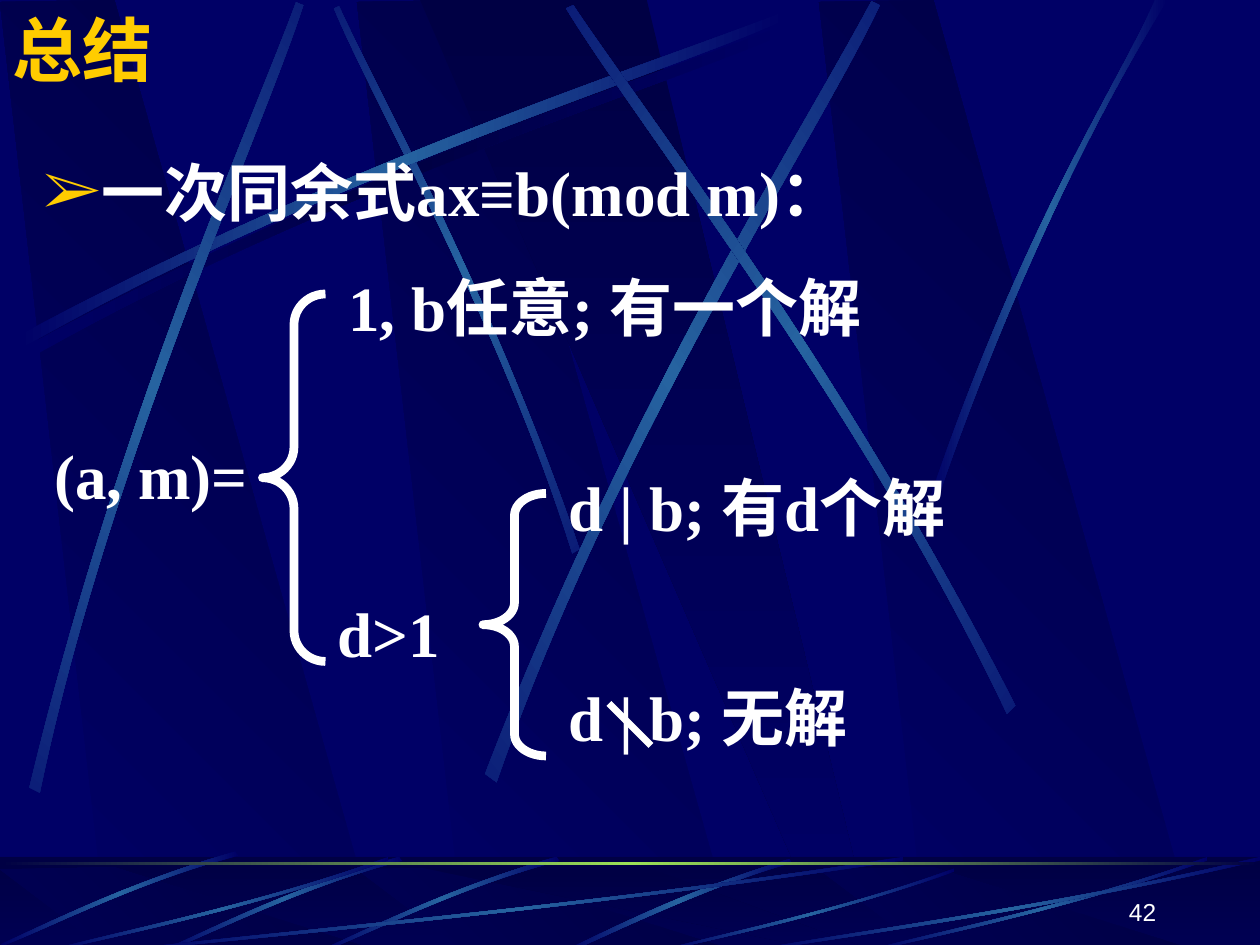
from dataclasses import dataclass
from math import cos, radians, sin

from lxml.etree import SubElement
from pptx import Presentation
from pptx.dml.color import RGBColor
from pptx.enum.shapes import MSO_CONNECTOR, MSO_SHAPE
from pptx.enum.text import MSO_ANCHOR, PP_ALIGN
from pptx.oxml.ns import qn
from pptx.util import Inches, Pt

COLUMNS, ROWS = 120, 90
UNIT = Inches(10) / COLUMNS


@dataclass(frozen=True)
class Theme:
    navy: str = "000066"
    midnight: str = "000044"
    steel: str = "2663A0"
    lime: str = "9CE157"
    gold: str = "FFCC00"
    white: str = "FFFFFF"
    brace_width: int = 5
    slash_width: int = 4


THEME = Theme()
TITLE = {"name": "Montserrat", "size": Pt(40), "bold": True}
FORMULA = {"name": "Times New Roman", "size": Pt(36), "bold": True}
NUMBER = {"name": "Arial", "size": Pt(14), "bold": False}

GLOW = (THEME.navy, THEME.steel, THEME.navy)
SHADE = (THEME.navy, THEME.midnight, THEME.navy)
FADE_OUT = (THEME.navy, THEME.midnight)
FADE_IN = (THEME.midnight, THEME.navy)
HORIZON = (THEME.midnight, THEME.lime, THEME.midnight)

# Each ray: one curved edge of four points, then the edge that leads back.
WIDE_RAY = [(1.7, 32), (33.4, 15), (62.2, 6.1), (74.4, 1.2),
            (74.8, 1.9), (62.6, 7.3), (29.8, 17.2), (2, 33.2)]
STEEP_RAYS = [
    (45, [(55.2, 52.3), (46.9, 28.1), (36.2, 9.2), (32.3, 0.6),
          (31.8, 0.8), (35.4, 9.5), (47.8, 31), (54.5, 52.7)]),
    (311.7, [(2.8, 75), (11.2, 40.1), (23.6, 12.6), (28.2, 0.2),
             (28.9, 0.5), (24.8, 13.1), (10.3, 44.2), (3.8, 75.5)]),
    (321.6, [(46.2, 73.7), (59.8, 38.4), (76.6, 12.2), (83, 0.1),
             (83.8, 0.5), (77.9, 13), (58.3, 42.6), (47.3, 74.5)]),
    (34.7, [(96.7, 67.2), (80.4, 35.2), (61.9, 11.4), (54.6, 0.5),
            (53.9, 0.8), (60.8, 12.1), (82.2, 39), (95.9, 68)]),
    (0, [(88.6, 47.3), (97.7, 20.8), (106.6, 7.9), (110, 0),
         (111.2, 0), (100.3, 17.4), (92.3, 38.6), (89.3, 47.6)]),
]
FOOT_RAY = [(75.2, 81.8), (64.4, 85.1), (57.2, 89), (53.8, 90.5),
            (54.4, 90.6), (58.8, 88.6), (68.5, 84), (75.4, 82.2)]
TURNED_FOOT_RAY = [(53, 81.6), (42.6, 84.6), (34.4, 88.8), (30.7, 90.4),
                   (30.8, 90.6), (34.6, 89.2), (43.8, 84.4), (53.3, 82)]
# Shares of the ray's own frame.
FLAT_RAY = [(1, 0.04), (0.57, 0.57), (0.17, 0.85), (0, 1),
            (0, 0.98), (0.17, 0.81), (0.62, 0.5), (1, 0)]


def grid(*lengths):
    return [round(length * UNIT) for length in lengths]


def color(value):
    return RGBColor.from_string(value)


def fill_gradient(shape, colors, angle=0):
    """Spread the colours evenly; the angle runs clockwise in degrees."""
    shape.fill.gradient()
    gradient = shape.fill._xPr.find(qn("a:gradFill"))
    stops = gradient.find(qn("a:gsLst"))
    stops.clear()
    for index, value in enumerate(colors):
        position = round(100000 * index / (len(colors) - 1))
        stop = SubElement(stops, qn("a:gs"), pos=str(position))
        SubElement(stop, qn("a:srgbClr"), val=value)
    gradient.find(qn("a:lin")).set("ang", str(angle * 60000))


def turn(point, degrees):
    x, y = point
    angle = radians(degrees)
    return x * cos(angle) - y * sin(angle), x * sin(angle) + y * cos(angle)


def bend_edges(shape):
    """Turn the two long edges of an eight-point outline into cubic curves."""
    path = next(shape._element.iter(qn("a:path")))
    lines = path.findall(qn("a:lnTo"))
    for edge in (lines[:3], lines[4:]):
        first, *others = edge
        first.tag = qn("a:cubicBezTo")
        for line in others:
            first.append(line[0])
            path.remove(line)


def add_outline(slide, points, colors, angle=0):
    first, *others = [grid(*point) for point in points]
    builder = slide.shapes.build_freeform(*first)
    builder.add_line_segments(others)
    shape = builder.convert_to_shape()
    shape.shadow.inherit = False
    shape.line.fill.background()
    fill_gradient(shape, colors, angle)
    return shape


def add_ray(slide, points, colors=GLOW, shift=(0, 0), rotation=0, angle=0):
    """Draw the ray level, then rotate it into place."""
    level = [turn((x + shift[0], y + shift[1]), -rotation) for x, y in points]
    shape = add_outline(slide, level, colors, angle)
    bend_edges(shape)
    center = shape.left + shape.width / 2, shape.top + shape.height / 2
    x, y = turn(center, rotation)
    shape.left += round(x - center[0])
    shape.top += round(y - center[1])
    shape.rotation = rotation


def add_panels(slide, top, bottom):
    for left in (34, 0, 78):
        corners = [(10.3, bottom), (36.2, bottom), (10.9, top), (0, top + 0.2)]
        add_outline(slide, [(left + x, y) for x, y in corners], FADE_OUT, 315)
    add_outline(slide, [(40, top), (79, bottom), (83.3, bottom), (61.6, top)], FADE_IN, 90)


def add_band(slide, top, height):
    shape = slide.shapes.add_shape(MSO_SHAPE.RECTANGLE, *grid(0, top, COLUMNS, height))
    shape.shadow.inherit = False
    shape.line.fill.background()
    return shape


def add_backdrop(slide):
    slide.background.fill.solid()
    slide.background.fill.fore_color.rgb = color(THEME.navy)
    add_panels(slide, 0, ROWS)
    add_ray(slide, WIDE_RAY, SHADE, shift=(0.7, 1))
    (rotation, first_ray), *other_rays = STEEP_RAYS
    add_ray(slide, first_ray, rotation=rotation)
    add_ray(slide, WIDE_RAY)
    for rotation, points in other_rays:
        add_ray(slide, points, rotation=rotation)


def add_footer(slide):
    fill_gradient(add_band(slide, 81.6, 9), FADE_IN, 90)
    add_panels(slide, 82.6, 90.6)
    veil = add_band(slide, 81.6, 9)
    veil.fill.solid()
    veil.fill.fore_color.rgb = color(THEME.midnight)
    SubElement(veil.fill._xPr.find(".//" + qn("a:srgbClr")), qn("a:alpha"), val="50000")
    add_ray(slide, FOOT_RAY)
    for shift in ((0, 0), (-15, 0), (-30.6, -0.5)):
        add_ray(slide, TURNED_FOOT_RAY, shift=shift, rotation=315, angle=45)
    for left, top, width in ((12, 81.6, 74), (5, 81.6, 32), (63.2, 82.7, 27.7),
                             (83, 81.6, 32), (72, 81.6, 48)):
        add_ray(slide, [(left + x * width, top + y * (90.6 - top)) for x, y in FLAT_RAY])
    fill_gradient(add_band(slide, 82.1, 0.24), HORIZON)


def add_text(slide, frame, text, style=FORMULA, ink=THEME.white,
             anchor=MSO_ANCHOR.TOP, align=PP_ALIGN.LEFT, bullet=None):
    text_frame = slide.shapes.add_textbox(*grid(*frame)).text_frame
    text_frame.word_wrap = True
    text_frame.vertical_anchor = anchor
    paragraph = text_frame.paragraphs[0]
    paragraph.alignment = align
    if bullet:
        properties = paragraph._p.get_or_add_pPr()
        indent = Inches(0.38)
        properties.set("marL", str(indent))
        properties.set("indent", str(-indent))
        SubElement(SubElement(properties, qn("a:buClr")), qn("a:srgbClr"), val=THEME.gold)
        SubElement(properties, qn("a:buFont"), typeface=style["name"])
        SubElement(properties, qn("a:buChar"), char=bullet)
    run = paragraph.add_run()
    run.text = text
    for name, value in style.items():
        setattr(run.font, name, value)
    run.font.color.rgb = color(ink)


def add_brace(slide, frame, curl):
    brace = slide.shapes.add_shape(MSO_SHAPE.LEFT_BRACE, *grid(*frame))
    brace.shadow.inherit = False
    brace.fill.background()
    brace.line.color.rgb = color(THEME.white)
    brace.line.width = Pt(THEME.brace_width)
    brace.adjustments[0] = curl
    brace.adjustments[1] = 0.5


def add_slash(slide, *ends):
    slash = slide.shapes.add_connector(MSO_CONNECTOR.STRAIGHT, *grid(*ends))
    slash.line.color.rgb = color(THEME.white)
    slash.line.width = Pt(THEME.slash_width)
    SubElement(slash._element.spPr, qn("a:effectLst"))


def main():
    presentation = Presentation()
    presentation.slide_width, presentation.slide_height = grid(COLUMNS, ROWS)
    slide = presentation.slides.add_slide(presentation.slide_layouts[6])
    add_backdrop(slide)
    add_footer(slide)
    add_text(slide, (0, 0, 113, 9.2), "总结", TITLE, THEME.gold, MSO_ANCHOR.MIDDLE)
    add_text(slide, (3, 14, 114, 66), "一次同余式ax≡b(mod m)：", bullet="➢")
    for left, top, width, text in ((4, 41, 21, "(a, m)="), (32, 25, 59, "1, b任意; 有一个解"),
                                   (31, 56, 14, "d>1"), (53, 44, 40, "d | b; 有d个解"),
                                   (53, 64, 34, "d | b; 无解")):
        add_text(slide, (left, top, width, 8.4), text)
    add_brace(slide, (25, 28, 6, 35), 0.49)
    add_brace(slide, (46, 47, 6, 25), 0.35)
    add_slash(slide, 58, 67, 62, 71)
    add_text(slide, (86.4, 82.8, 24.9, 6), "42", NUMBER, anchor=MSO_ANCHOR.BOTTOM, align=PP_ALIGN.RIGHT)
    presentation.save("out.pptx")


if __name__ == "__main__":
    main()
